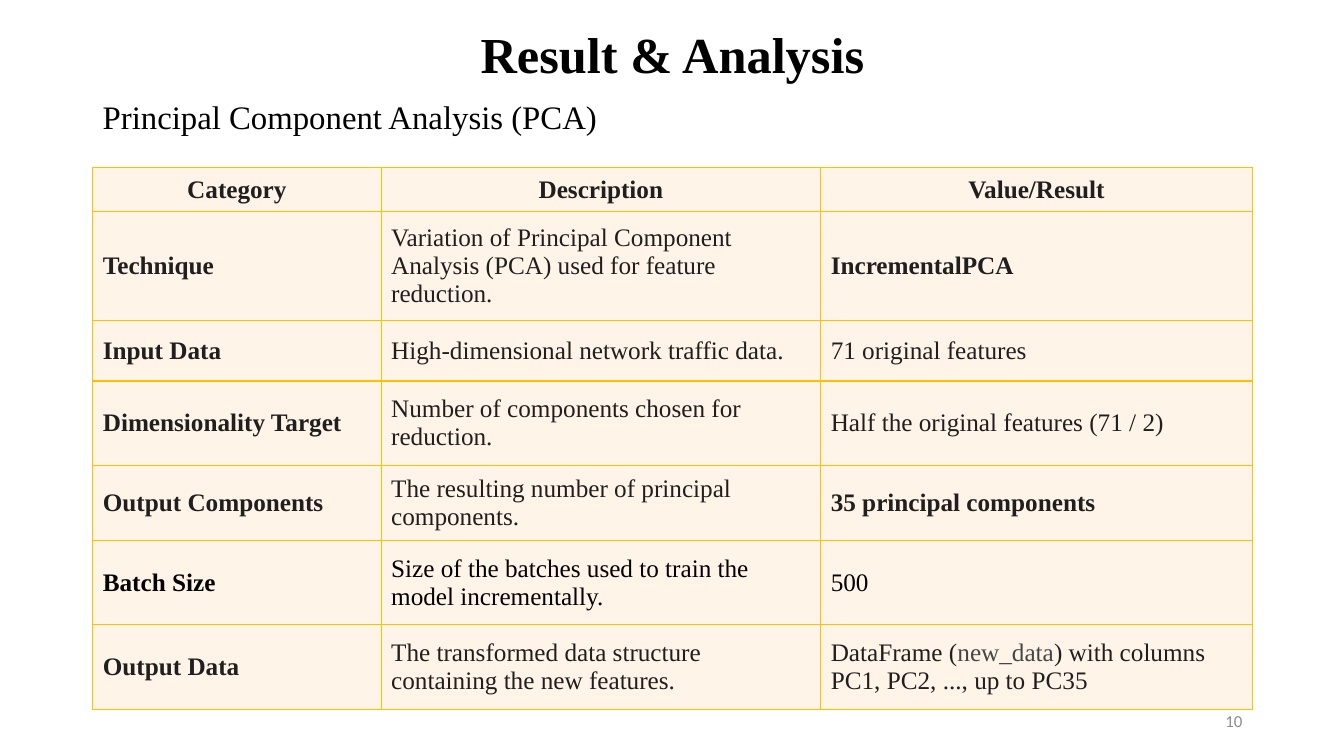
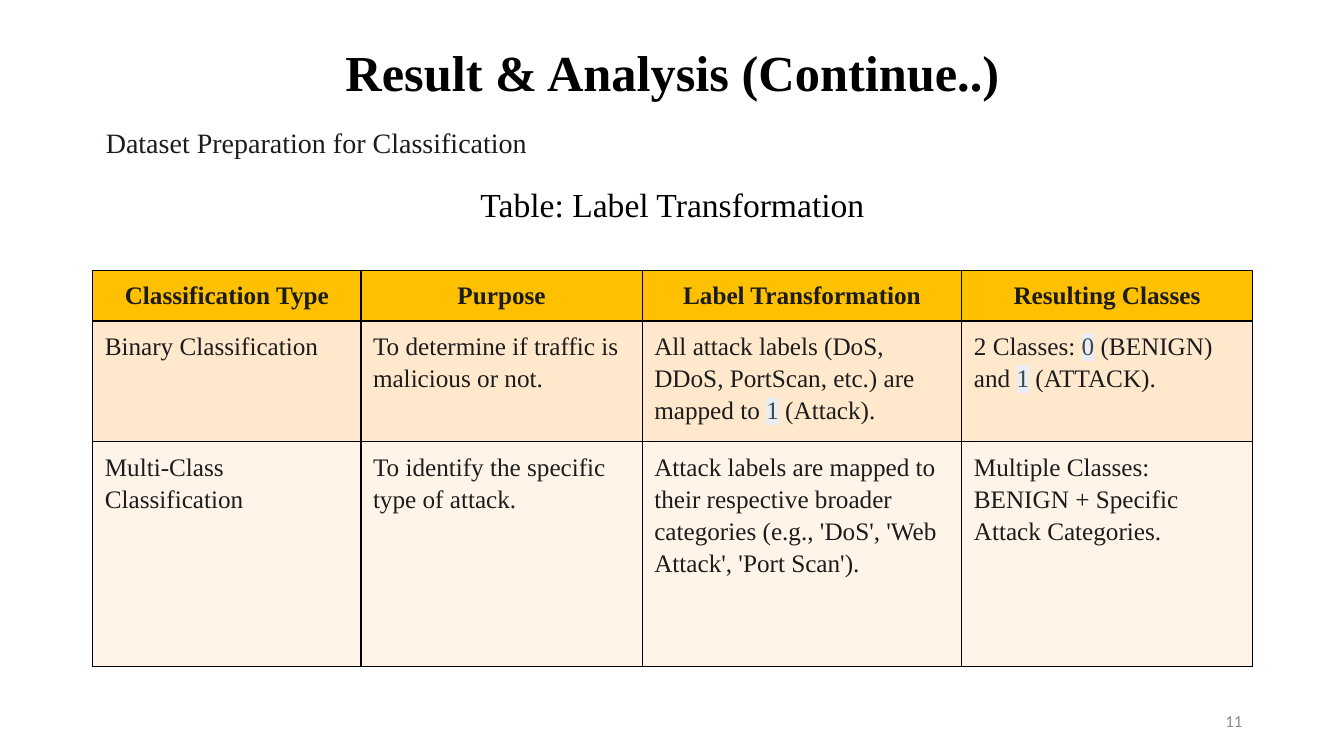
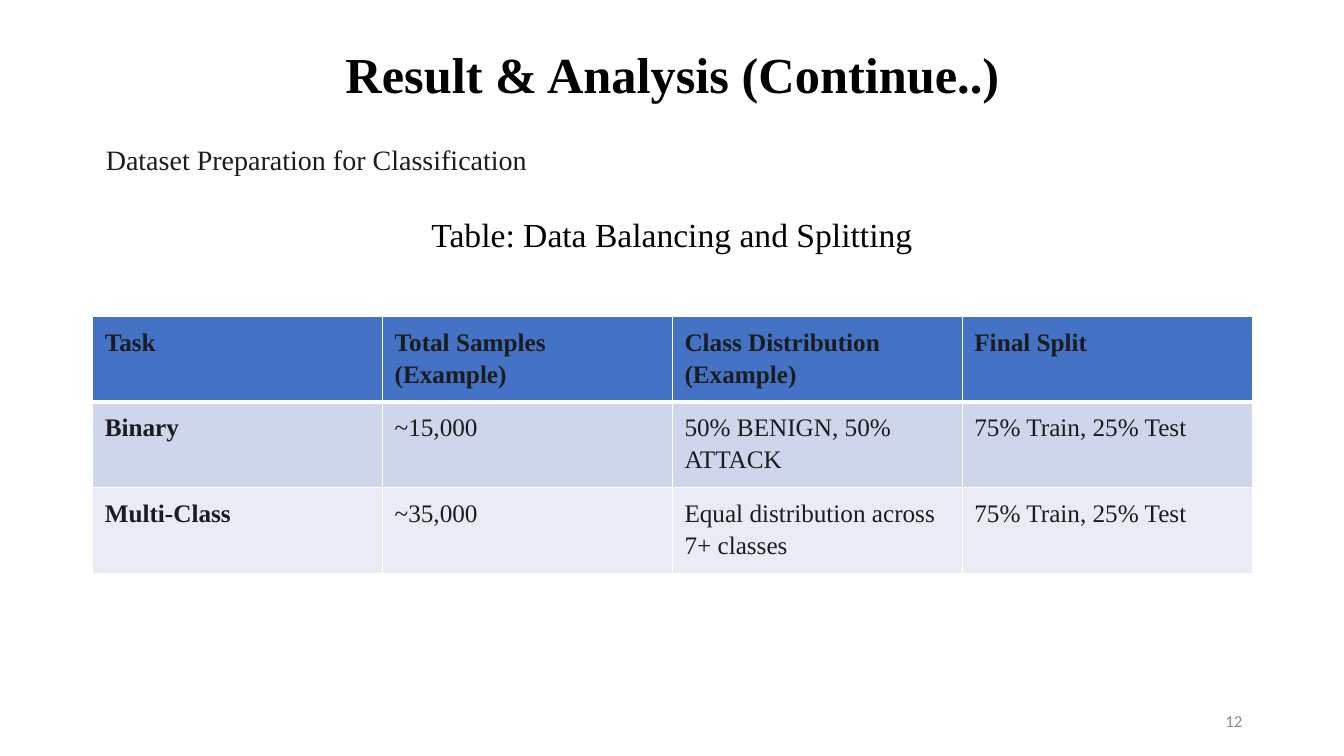
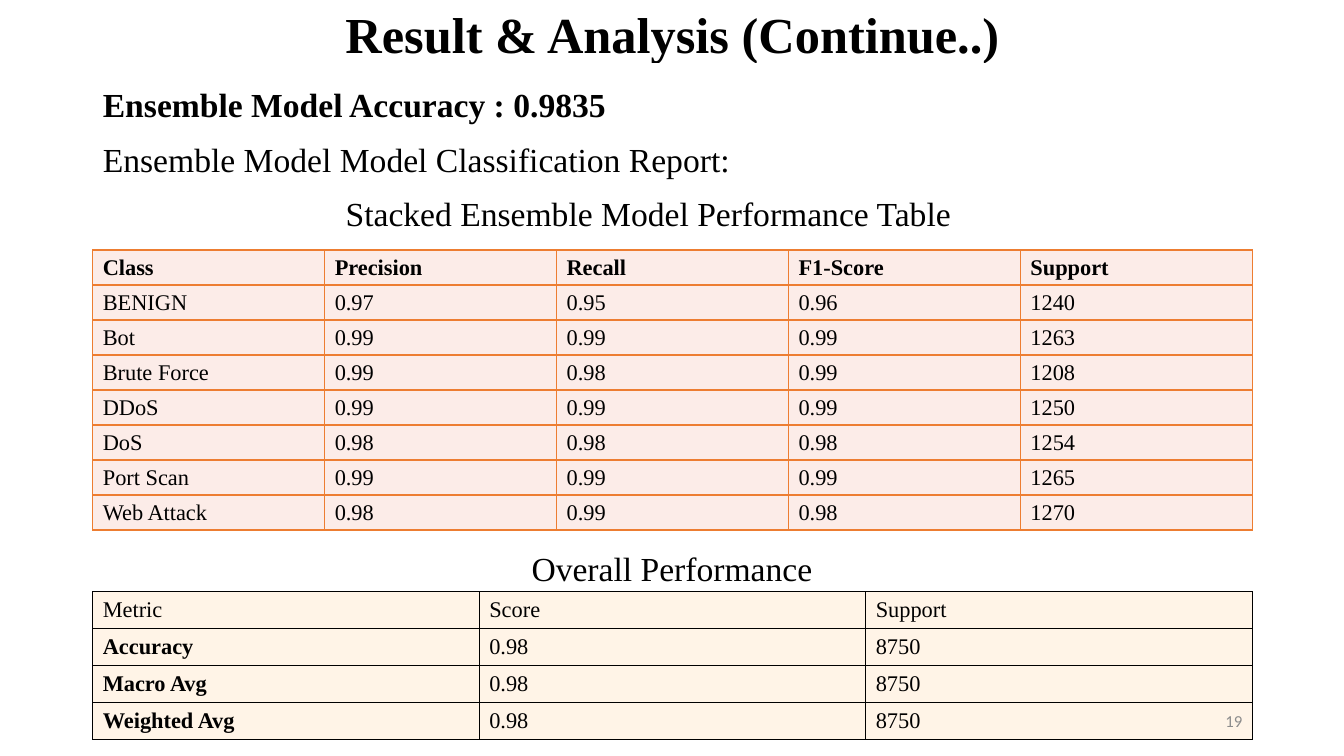
from lxml import etree
from pptx import Presentation
from pptx import util as u
from pptx.dml.color import RGBColor
from pptx.enum import shapes, text
from pptx.oxml import ns

Inches = u.Inches
LEFT, WIDTH = 0.92, 11.5
COLORS = {
    "black": "000000", "ink": "1F1F1F", "charcoal": "1B1C1D", "code": "444746",
    "code_back": "E9EEF6", "gray": "8C8C8C", "white": "FFFFFF",
    "gold": "FFC000", "peach": "FFE8CC", "cream": "FFF4E7",
    "blue": "4472C4", "blue_mid": "CFD5EA", "blue_pale": "E9EBF5",
    "orange": "ED7D31", "rose": "FCECE8",
}
ALIGN = {"l": text.PP_ALIGN.LEFT, "c": text.PP_ALIGN.CENTER, "r": text.PP_ALIGN.RIGHT}
MIDDLE, TOP = text.MSO_ANCHOR.MIDDLE, text.MSO_ANCHOR.TOP


class Deck:
    """The shared style and the slide being filled."""

    def __init__(self):
        self.prs = Presentation()
        self.prs.slide_width, self.prs.slide_height = Inches(13.33), Inches(7.5)
        self.slide = None

    def new_slide(self, title, top, height):
        self.slide = self.prs.slides.add_slide(self.prs.slide_layouts[6])
        self.label(title, (LEFT, top, WIDTH, height), size=36, bold=True,
                   align="c", spacing=0.9, anchor=MIDDLE)

    def fill_text(self, paragraph, content, size=24, color="black", bold=False, align="l",
                  spacing=None, font="Times New Roman", code_back=None):
        """Fill a paragraph; parts between backticks are set as code."""
        layout = {"alignment": ALIGN[align], "line_spacing": spacing}
        for name, value in layout.items():
            setattr(paragraph, name, value)
        for index, part in enumerate(content.split("`")):
            is_code = index % 2 == 1
            run = paragraph.add_run()
            run.text = part
            look = {"size": u.Pt(size), "bold": bold, "name": font}
            for name, value in look.items():
                setattr(run.font, name, value)
            run.font.color.rgb = RGBColor.from_string(COLORS["code" if is_code else color])
            if is_code and code_back:
                highlight = etree.Element(ns.qn("a:highlight"))
                etree.SubElement(highlight, ns.qn("a:srgbClr"), val=COLORS[code_back])
                run._r.get_or_add_rPr().find(ns.qn("a:latin")).addprevious(highlight)

    def label(self, content, box, anchor=TOP, inset=0.05, **style):
        frame = self.slide.shapes.add_textbox(*map(Inches, box)).text_frame
        settings = {"word_wrap": True, "vertical_anchor": anchor,
                    "margin_top": Inches(inset), "margin_bottom": Inches(inset)}
        for name, value in settings.items():
            setattr(frame, name, value)
        self.fill_text(frame.paragraphs[0], content, **style)

    def subject(self, content, top):
        """White panel with the topic of the slide."""
        panel = self.slide.shapes.add_shape(
            shapes.MSO_SHAPE.RECTANGLE, *map(Inches, (LEFT, top, 4.44, 0.46)))
        panel.shadow.inherit = False
        white = RGBColor.from_string(COLORS["white"])
        panel.fill.solid()
        panel.fill.fore_color.rgb = white
        panel.line.color.rgb = white
        panel.line.width = u.Pt(1)
        panel.text_frame.vertical_anchor = MIDDLE
        self.fill_text(panel.text_frame.paragraphs[0], content, size=20,
                       color="charcoal", align="c")

    def border(self, cell, color, widths):
        properties = cell._tc.get_or_add_tcPr()
        for side in "LRTB":
            line = etree.SubElement(properties, ns.qn("a:ln" + side),
                                    w=str(u.Pt(widths.get(side, 1))))
            fill = etree.SubElement(line, ns.qn("a:solidFill"))
            etree.SubElement(fill, ns.qn("a:srgbClr"), val=COLORS[color])

    def table(self, top, cols, heights, rows, fills, line, inset=(0.1, 0.05),
              anchor=MIDDLE, header_align="l", header_rule=1, row_colors=None, **style):
        """Cells that start with * are bold; the last fill serves all further rows."""
        grid = self.slide.shapes.add_table(
            len(rows), len(cols),
            *map(Inches, (LEFT, top, sum(cols), sum(heights)))).table
        grid.first_row = grid.horz_banding = False
        for column, width in zip(grid.columns, cols):
            column.width = Inches(width)
        side, end = map(Inches, inset)
        settings = {"margin_left": side, "margin_right": side, "margin_top": end,
                    "margin_bottom": end, "vertical_anchor": anchor}
        for r, (values, height) in enumerate(zip(rows, heights)):
            grid.rows[r].height = Inches(height)
            look = dict(style, align="l" if r else header_align)
            if row_colors and r in row_colors:
                look["color"] = row_colors[r]
            for c, value in enumerate(values):
                cell = grid.cell(r, c)
                for name, setting in settings.items():
                    setattr(cell, name, setting)
                self.border(cell, line, {0: {"B": header_rule}, 1: {"T": header_rule}}.get(r, {}))
                cell.fill.solid()
                cell.fill.fore_color.rgb = RGBColor.from_string(
                    COLORS[fills[min(r, len(fills) - 1)]])
                for i, content in enumerate(value.split("\n")):
                    frame = cell.text_frame
                    paragraph = frame.add_paragraph() if i else frame.paragraphs[0]
                    self.fill_text(paragraph, content.lstrip("*"),
                                   bold=content.startswith("*"), **look)

    def page_number(self, number):
        self.label(str(number), (9.42, 6.95, 3, 0.4), anchor=MIDDLE, size=12,
                   color="gray", align="r", font="Calibri")


def main():
    deck = Deck()
    continued = "Result & Analysis (Continue..)"
    preparation = "Dataset Preparation for Classification"
    roomy = {"inset": (0.12, 0.08), "anchor": TOP, "size": 18,
             "color": "charcoal", "spacing": 1.15}

    # Principal component analysis
    deck.new_slide("Result & Analysis", 0.19, 0.76)
    deck.table(1.66, [2.86, 4.36, 4.28], [0.41, 1.08, 0.6, 0.84, 0.7, 0.84, 0.84], [
        ["*Category", "*Description", "*Value/Result"],
        ["*Technique",
         "Variation of Principal Component Analysis (PCA) used for feature reduction.",
         "*IncrementalPCA"],
        ["*Input Data", "High-dimensional network traffic data.", "71 original features"],
        ["*Dimensionality Target", "Number of components chosen for reduction.",
         "Half the original features (71 / 2)"],
        ["*Output Components", "The resulting number of principal components.",
         "*35 principal components"],
        ["*Batch Size", "Size of the batches used to train the model incrementally.", "500"],
        ["*Output Data", "The transformed data structure containing the new features.",
         "DataFrame (`new_data`) with columns PC1, PC2, ..., up to PC35"],
    ], ["cream"], "gold", inset=(0.1, 0.07), header_align="c",
        row_colors={5: "black"}, size=18, color="ink")
    deck.label("Principal Component Analysis (PCA)", (LEFT, 0.9, 11.32, 0.97),
               inset=0.1, size=23.4, spacing=0.9)
    deck.page_number(10)

    # Label transformation
    deck.new_slide(continued, 0.4, 0.7)
    deck.label("Table: Label Transformation", (LEFT, 1.82, WIDTH, 0.46),
               align="c", spacing=0.9)
    deck.subject(preparation, 1.18)
    deck.table(2.68, [2.66, 2.79, 3.17, 2.88], [0.48, 1.18, 2.23], [
        ["*Classification Type", "*Purpose", "*Label Transformation", "*Resulting Classes"],
        ["Binary Classification", "To determine if traffic is malicious or not.",
         "All attack labels (DoS, DDoS, PortScan, etc.) are mapped to `1` (Attack).",
         "2 Classes: `0` (BENIGN) and `1` (ATTACK)."],
        ["Multi-Class Classification", "To identify the specific type of attack.",
         "Attack labels are mapped to their respective broader categories "
         "(e.g., 'DoS', 'Web Attack', 'Port Scan').",
         "Multiple Classes: BENIGN + Specific Attack Categories."],
    ], ["gold", "peach", "cream"], "black", header_align="c",
        code_back="code_back", **roomy)
    deck.page_number(11)

    # Balancing and splitting
    deck.new_slide(continued, 0.4, 0.74)
    deck.table(3.14, [WIDTH / 4] * 4, [0.8] * 3, [
        ["*Task", "*Total Samples (Example)", "*Class Distribution (Example)", "*Final Split"],
        ["*Binary", "~15,000", "50% BENIGN, 50% ATTACK", "75% Train, 25% Test"],
        ["*Multi-Class", "~35,000", "Equal distribution across 7+ classes",
         "75% Train, 25% Test"],
    ], ["blue", "blue_mid", "blue_pale"], "white", header_rule=3, **roomy)
    deck.subject(preparation, 1.35)
    deck.label("Table: Data Balancing and Splitting", (3.33, 2.07, 6.67, 0.5), align="c")
    deck.page_number(12)

    # Ensemble performance
    deck.new_slide(continued, 0, 0.74)
    deck.table(0.63, [8.89], [1.23], [
        ["*Ensemble Model Accuracy : 0.9835\nEnsemble Model Model Classification Report:"],
    ], ["white"], "white", anchor=TOP, spacing=1.5)
    deck.label("Stacked Ensemble Model Performance Table", (3.33, 1.86, 6.67, 0.5))
    compact = {"inset": (0.1, 0.04), "size": 16}
    deck.table(2.48, [WIDTH / 5] * 5, [2.78 / 8] * 8, [
        ["*Class", "*Precision", "*Recall", "*F1-Score", "*Support"],
        ["BENIGN", "0.97", "0.95", "0.96", "1240"],
        ["Bot", "0.99", "0.99", "0.99", "1263"],
        ["Brute Force", "0.99", "0.98", "0.99", "1208"],
        ["DDoS", "0.99", "0.99", "0.99", "1250"],
        ["DoS", "0.98", "0.98", "0.98", "1254"],
        ["Port Scan", "0.99", "0.99", "0.99", "1265"],
        ["Web Attack", "0.98", "0.99", "0.98", "1270"],
    ], ["rose"], "orange", **compact)
    averages = [[name, "0.98", "8750"] for name in ("*Accuracy", "*Macro Avg", "*Weighted Avg")]
    deck.table(5.87, [WIDTH / 3] * 3, [1.47 / 4] * 4,
               [["Metric", "Score", "Support"]] + averages, ["cream"], "black", **compact)
    deck.label("Overall Performance", (3.33, 5.39, 6.67, 0.91), align="c")
    deck.page_number(19)

    deck.prs.save("out.pptx")


if __name__ == "__main__":
    main()
